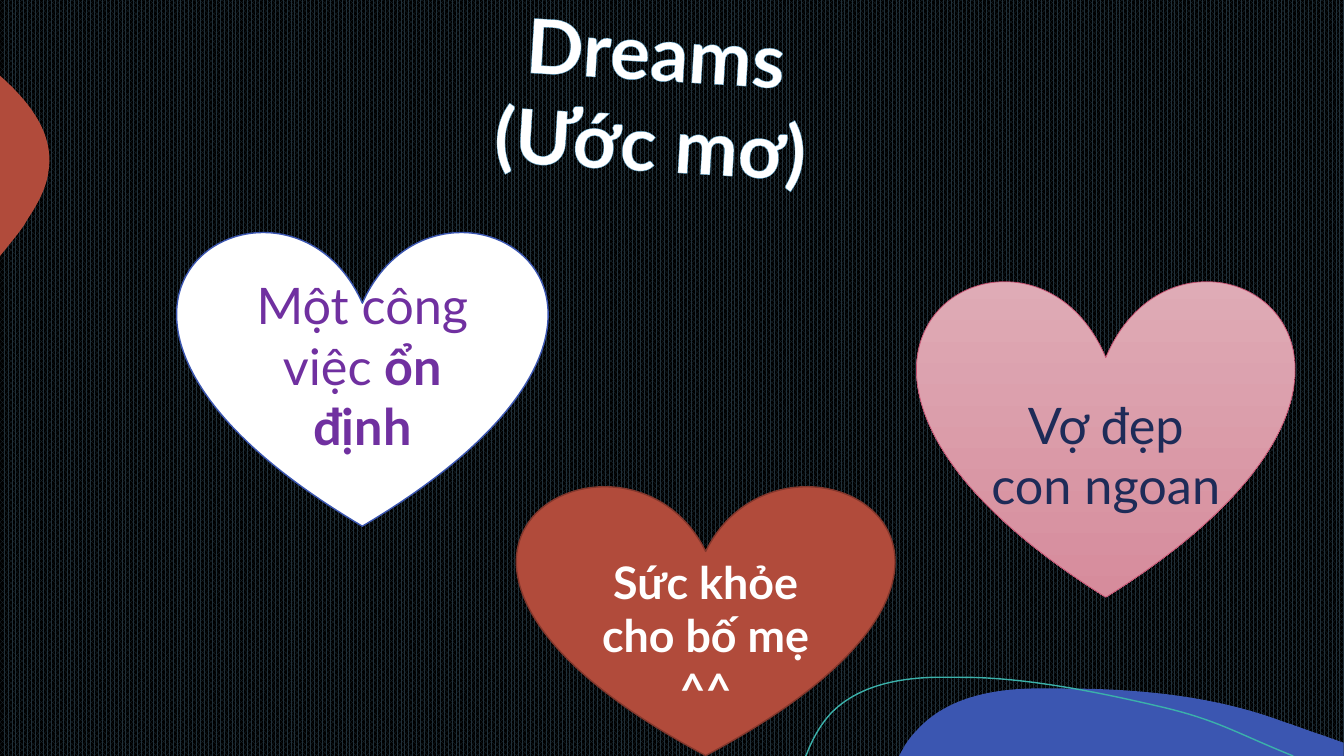
"""Builds the Dreams slide: three heart wishes over a dark patterned background."""
from lxml.etree import SubElement
from pptx import Presentation
from pptx.dml.color import RGBColor
from pptx.enum.dml import MSO_PATTERN
from pptx.enum.shapes import MSO_SHAPE
from pptx.enum.text import MSO_ANCHOR, PP_ALIGN
from pptx.oxml.ns import qn
from pptx.util import Pt

FONT = "Lato"
TITLE = [["Dreams"], ["(Ư", "ớc mơ)"]]
TITLE_BOX = (339.84, 0, 253.44, 138.24)
TITLE_TILT = 3.5

BLUE_WAVE = [
    (758.9, 491.8), (812.2, 491.8, 866.9, 496.8, 916.6, 515.5),
    (925.9, 518.4, 934.6, 522, 943.9, 524.9),
    (959.8, 530.6), (959.8, 540), (642.2, 540), (646.6, 532.1),
    (649.4, 527.8, 652.3, 524.2, 655.9, 520.6),
    (676.1, 499, 707, 492.5, 736.6, 491.8),
    (743.8, 491.8, 751, 491.8, 758.9, 491.8),
]
RED_BUMP = [
    (0, 54), (0.7, 54.7), (21.6, 73.4, 38.9, 95.8, 34.6, 122.4),
    (33.1, 134.6, 26.6, 146.2, 19.4, 157),
    (17.3, 161.3, 12.2, 167.8, 5.8, 175.7), (0, 182.9),
]
TEAL_CURVE = [
    (575.3, 540), (576, 539.3), (580.3, 527.8, 586.1, 517.7, 593.3, 509.8),
    (612, 490.3, 640.1, 484.6, 666.7, 483.8), (687.6, 483.8),
    (735.8, 483.8, 792, 496.1, 831.6, 505.4),
    (870.5, 514.8, 882.7, 523.4, 923.8, 540),
]
WAVES = [
    (BLUE_WAVE, "3B56B1", None),
    (RED_BUMP, "B14B3B", None),
    (TEAL_CURVE, None, "3BB1AA"),
]
HEARTS = [
    {"at": (127.1, 163.44, 263.52, 212.4), "fill": ["FFFFFF"], "line": ("3B56B1", 1),
     "text": [("Một công việc ", False), ("ổn định", True)],
     "size": 36, "color": "7030A0", "top": 3.6},
    {"at": (655.6, 198.4, 268.56, 228.24), "fill": ["DFABB6", "D68C9C"],
     "line": ("C34D6E", 0.5), "text": [("Vợ đẹp con ngoan", False)],
     "size": 36, "color": "1E2B58", "top": 46.8},
    {"at": (369.8, 345.3, 268.56, 194.4), "fill": ["B14B3B"], "line": ("83372C", 1),
     "text": [("Sức khỏe cho bố mẹ ^^", True)],
     "size": 32, "color": "FFFFFF", "top": 42},
]


def rgb(code):
    return RGBColor.from_string(code)


def points(values):
    return [Pt(value) for value in values]


def paint(shape, colors, line):
    shape.shadow.inherit = False
    if not colors:
        shape.fill.background()
    elif len(colors) == 1:
        shape.fill.solid()
        shape.fill.fore_color.rgb = rgb(colors[0])
    else:
        shape.fill.gradient()
        shape.fill.gradient_angle = 270
        for stop, color, position in zip(shape.fill.gradient_stops, colors, (0, 1)):
            stop.color.rgb = rgb(color)
            stop.position = position
    if line:
        shape.line.color.rgb = rgb(line[0])
        shape.line.width = Pt(line[1])
    else:
        shape.line.fill.background()


def style(para, size, color):
    para.alignment = PP_ALIGN.CENTER
    para.font.name = FONT
    para.font.size = Pt(size)
    para.font.color.rgb = rgb(color)


def bend(shape, steps):
    """Turns each straight segment that has control points into a Bézier curve."""
    segments = list(shape._element.iter(qn("a:lnTo")))
    for segment, step in zip(segments, steps):
        if len(step) == 2:
            continue
        segment.tag = qn("a:cubicBezTo")
        for index, (x, y) in enumerate((step[:2], step[2:4])):
            handle = segment.makeelement(
                qn("a:pt"), x=str(Pt(x) - shape.left), y=str(Pt(y) - shape.top))
            segment.insert(index, handle)


def add_wave(page, outline, fill, line):
    start, *steps = outline
    builder = page.shapes.build_freeform(*points(start))
    builder.add_line_segments([points(step[-2:]) for step in steps], close=fill is not None)
    shape = builder.convert_to_shape()
    bend(shape, steps)
    paint(shape, [fill] if fill else [], (line, 1) if line else None)


def add_title(page):
    box = page.shapes.add_textbox(*points(TITLE_BOX))
    box.rotation = TITLE_TILT
    frame = box.text_frame
    frame.word_wrap = False
    for index, pieces in enumerate(TITLE):
        para = frame.add_paragraph() if index else frame.paragraphs[0]
        style(para, 54, "FFFFFF")
        para.font.bold = True
        for piece in pieces:
            span = para.add_run()
            span.text = piece
            outline = SubElement(span.font._element, qn("a:ln"), w=str(Pt(0.8)))
            solid = SubElement(outline, qn("a:solidFill"))
            SubElement(solid, qn("a:srgbClr"), val="4D99C3")


def add_heart(page, heart):
    shape = page.shapes.add_shape(MSO_SHAPE.HEART, *points(heart["at"]))
    paint(shape, heart["fill"], heart["line"])
    frame = shape.text_frame
    frame.word_wrap = True
    frame.vertical_anchor = MSO_ANCHOR.MIDDLE
    frame.margin_top = Pt(heart["top"])
    para = frame.paragraphs[0]
    style(para, heart["size"], heart["color"])
    for words, bold in heart["text"]:
        span = para.add_run()
        span.text = words
        span.font.bold = bold


def main():
    deck = Presentation()
    deck.slide_width, deck.slide_height = Pt(960), Pt(540)
    page = deck.slides.add_slide(deck.slide_layouts[6])
    backdrop = page.background.fill
    backdrop.patterned()
    backdrop.pattern = MSO_PATTERN.PERCENT_75
    backdrop.fore_color.rgb = rgb("203039")
    backdrop.back_color.rgb = rgb("000000")
    for wave in WAVES:
        add_wave(page, *wave)
    add_title(page)
    for heart in HEARTS:
        add_heart(page, heart)
    deck.save("out.pptx")


if __name__ == "__main__":
    main()
